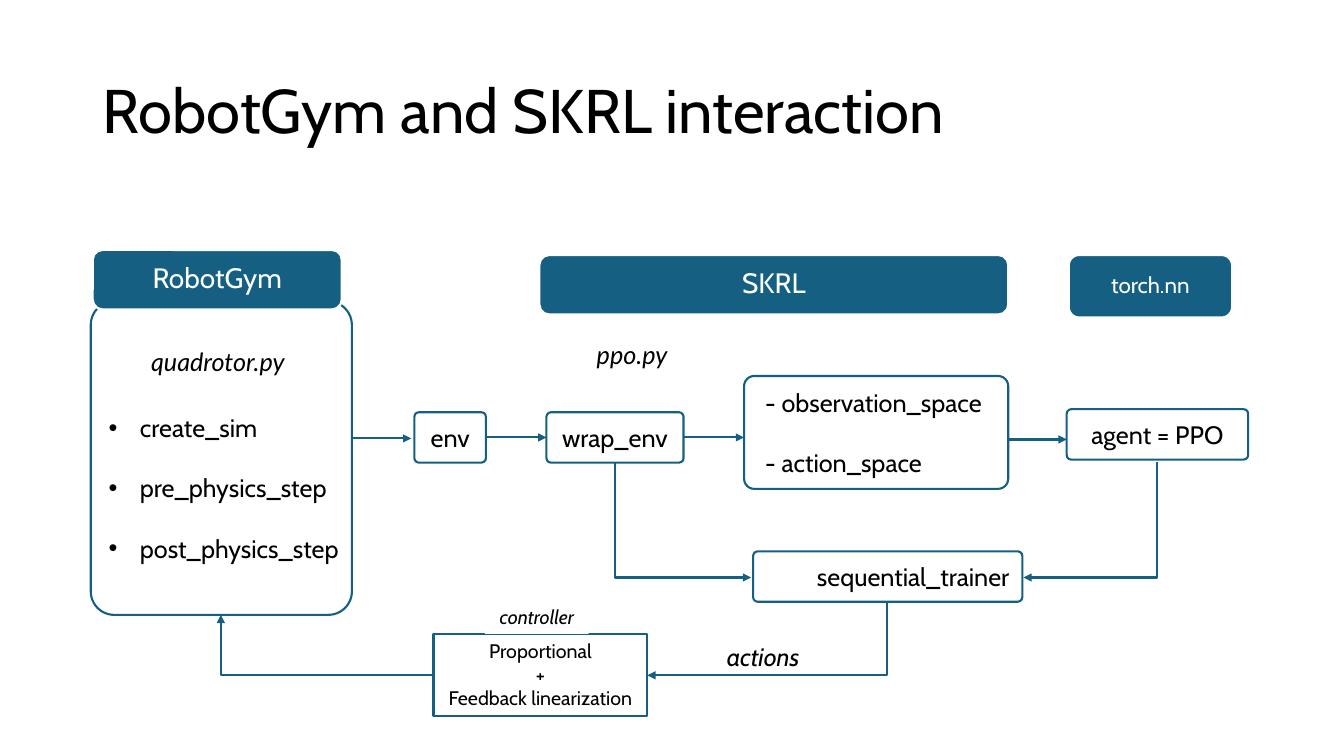
import pptx
import pptx.util
import pptx.dml.color
import pptx.enum.shapes
import pptx.enum.text
import pptx.oxml
import pptx.oxml.ns
from lxml import etree

Inches, Pt = pptx.util.Inches, pptx.util.Pt
SHAPE = pptx.enum.shapes.MSO_SHAPE
ANCHOR = pptx.enum.text.MSO_ANCHOR
ALIGN = pptx.enum.text.PP_ALIGN
COLORS = {
    name: pptx.dml.color.RGBColor.from_string(value)
    for name, value in {"blue": "156082", "white": "FFFFFF", "black": "000000"}.items()
}
LINE_WIDTH = Pt(1.5)
ROW_GAP = Pt(21.5)

deck = pptx.Presentation()
deck.slide_width, deck.slide_height = Inches(13.33), Inches(7.5)
slide = deck.slides.add_slide(deck.slide_layouts[6])


def add_block(area, lines, kind=None, fill="white", line="blue", color="black", size=18,
              font="Cabin", italic=False, align=ALIGN.CENTER, anchor=ANCHOR.MIDDLE,
              radius=None, inset=0.1, inset_right=0.1, spacing=None, gap=0, bullet=False):
    """Add a shape, or a text box when kind is None, with one paragraph per line."""
    place = [Inches(length) for length in area]
    if kind is None:
        block = slide.shapes.add_textbox(*place)
    else:
        block = slide.shapes.add_shape(kind, *place)
        block.shadow.inherit = False
        block.fill.solid()
        block.fill.fore_color.rgb = COLORS[fill]
        if line:
            block.line.color.rgb = COLORS[line]
            block.line.width = LINE_WIDTH
        else:
            block.line.fill.background()
        if radius:
            block.adjustments[0] = radius
    frame = block.text_frame
    frame_format = {"word_wrap": True, "vertical_anchor": anchor,
                    "margin_left": Inches(inset), "margin_right": Inches(inset_right)}
    for name, value in frame_format.items():
        setattr(frame, name, value)
    for index, text in enumerate(lines):
        paragraph = frame.paragraphs[0] if index == 0 else frame.add_paragraph()
        paragraph.text = text
        paragraph.alignment = align
        if spacing:
            paragraph.line_spacing = spacing
        if index and gap:
            paragraph.space_before = gap
        if bullet:
            properties = paragraph._p.get_or_add_pPr()
            properties.set("marL", str(Inches(0.31)))
            properties.set("indent", str(-Inches(0.31)))
            etree.SubElement(properties, pptx.oxml.ns.qn("a:buFont")).set("typeface", "Arial")
            etree.SubElement(properties, pptx.oxml.ns.qn("a:buChar")).set("char", "•")
        for name, value in {"name": font, "size": Pt(size), "italic": italic}.items():
            setattr(paragraph.font, name, value)
        paragraph.font.color.rgb = COLORS[color]
    return block


def add_link(start, end, arrow="tailEnd", bent=False):
    """Add an arrow; a bent one leaves start horizontally and reaches end vertically."""
    route = pptx.enum.shapes.MSO_CONNECTOR
    link = slide.shapes.add_connector(route.ELBOW if bent else route.STRAIGHT,
                                      *[Inches(length) for length in (*start, *end)])
    link.line.color.rgb = COLORS["blue"]
    link.line.width = LINE_WIDTH
    properties = link._element.spPr
    if bent:
        properties.find(pptx.oxml.ns.qn("a:prstGeom")).set("prst", "bentConnector2")
    outline = link.line._get_or_add_ln()
    etree.SubElement(outline, pptx.oxml.ns.qn(f"a:{arrow}")).set("type", "triangle")
    etree.SubElement(properties, pptx.oxml.ns.qn("a:effectLst"))
    return link


# Title and simulator panel
add_block((0.92, 0.4, 11.5, 1.45), ["RobotGym and SKRL interaction"],
          size=44, align=ALIGN.LEFT, spacing=0.9)
add_block((0.9, 2.99, 2.59, 3.11), [], SHAPE.ROUNDED_RECTANGLE, radius=0.09)
add_block((0.98, 4.04, 2.54, 1.62), ["create_sim", "pre_physics_step", "post_physics_step"],
          align=ALIGN.LEFT, anchor=ANCHOR.TOP, gap=ROW_GAP, bullet=True)

# Library headers
headers = [
    ("RobotGym", (0.92, 2.48, 2.47, 0.59), 20),
    ("SKRL", (5.35, 2.53, 4.65, 0.59), 20),
    ("torch.nn", (10.6, 2.53, 1.62, 0.62), 16),
]
for library, area, size in headers:
    add_block(area, [library], SHAPE.ROUNDED_RECTANGLE, fill="blue", line="white",
              color="white", size=size, spacing=0.9)

# Italic labels
labels = [
    ("quadrotor.py", (1.4, 3.39, 1.72, 0.4), "Lato"),
    ("ppo.py", (5.82, 3.32, 0.96, 0.4), "Lato"),
    ("actions", (7.11, 6.31, 1.01, 0.4), "Cabin"),
]
for label, area, font in labels:
    add_block(area, [label], font=font, italic=True, align=ALIGN.LEFT, anchor=ANCHOR.TOP)

# Pipeline steps
steps = {}
for step, area in [
    ("env", (4.11, 4.09, 0.71, 0.5)),
    ("wrap_env", (5.42, 4.09, 1.36, 0.5)),
    ("agent = PPO", (10.58, 4.06, 1.8, 0.5)),
]:
    steps[step] = add_block(area, [step], SHAPE.ROUNDED_RECTANGLE, radius=0.09)
add_block((7.38, 3.73, 2.62, 1.12), ["- observation_space", "- action_space"],
          SHAPE.ROUNDED_RECTANGLE, radius=0.09, align=ALIGN.LEFT, inset=0.18, gap=ROW_GAP)
add_block((7.47, 5.47, 2.67, 0.5), ["sequential_trainer"], SHAPE.ROUNDED_RECTANGLE,
          radius=0.09, align=ALIGN.LEFT, inset=0.62, inset_right=0)

# Controller
add_block((4.3, 6.29, 2.12, 0.81), ["Proportional", "+", "Feedback linearization"],
          SHAPE.RECTANGLE, size=14, anchor=ANCHOR.TOP)
add_block((4.81, 5.95, 1.03, 0.34), ["controller"], SHAPE.RECTANGLE, line=None,
          size=14, italic=True, anchor=ANCHOR.TOP)

# Flow from left to right
add_link((3.49, 4.35), (4.08, 4.35))
env_to_wrap = add_link((4.82, 4.34), (5.42, 4.34))
env_to_wrap.begin_connect(steps["env"], 3)
env_to_wrap.end_connect(steps["wrap_env"], 1)
wrap_to_spaces = add_link((6.78, 4.34), (7.38, 4.34))
wrap_to_spaces.begin_connect(steps["wrap_env"], 3)
add_link((10, 4.36), (10.58, 4.36))

# Flow through the trainer and controller back to the simulator
for start, end, arrow in [
    ((7.45, 5.73), (6.1, 4.58), "headEnd"),
    ((10.15, 5.73), (11.48, 4.58), "headEnd"),
    ((6.42, 6.7), (8.8, 5.97), "headEnd"),
    ((4.3, 6.7), (2.19, 6.1), "tailEnd"),
]:
    add_link(start, end, arrow, bent=True)

deck.save("out.pptx")
